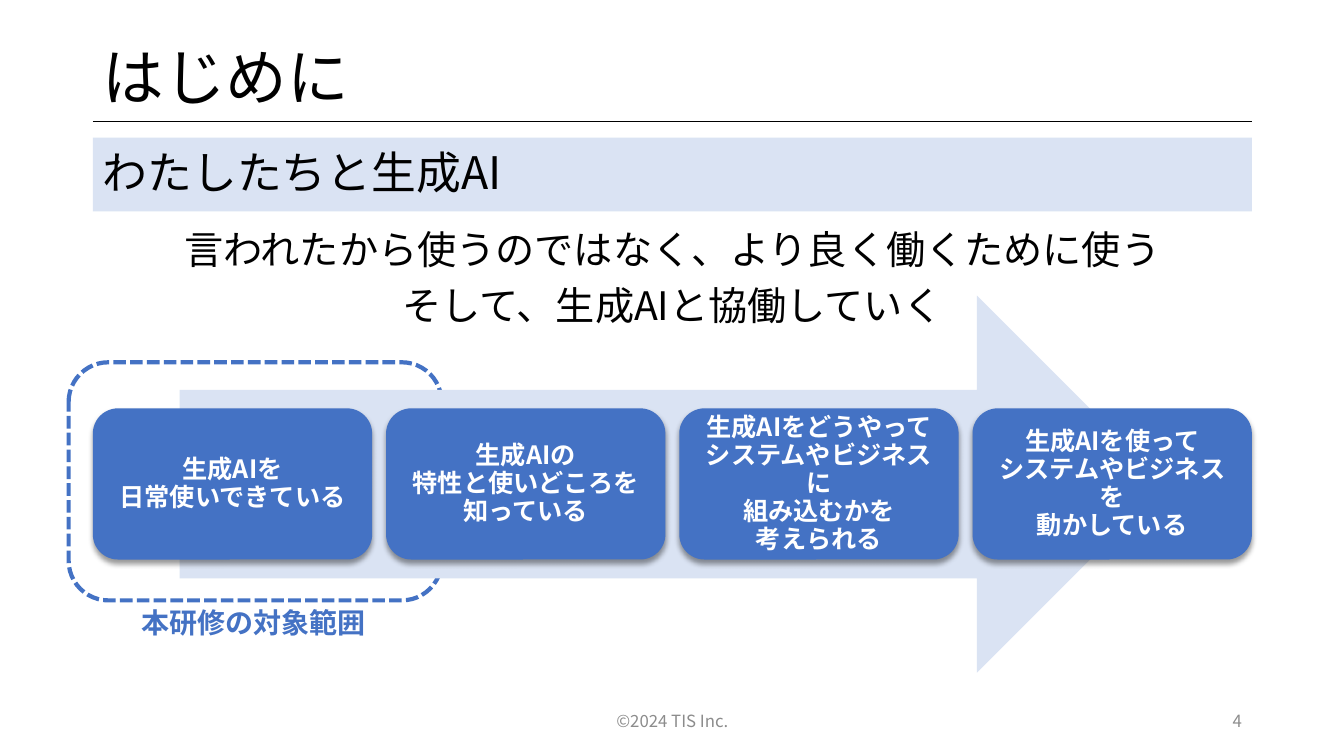
import pptx
import pptx.dml.color
import pptx.enum.dml
import pptx.enum.lang
import pptx.enum.shapes
import pptx.enum.text
import pptx.oxml
import pptx.oxml.ns
import pptx.util
from lxml import etree

Cm = pptx.util.Cm
Pt = pptx.util.Pt
RGBColor = pptx.dml.color.RGBColor
Shape = pptx.enum.shapes.MSO_SHAPE
Align = pptx.enum.text.PP_ALIGN
Anchor = pptx.enum.text.MSO_ANCHOR
qn = pptx.oxml.ns.qn

BLACK = RGBColor(0x00, 0x00, 0x00)
WHITE = RGBColor(0xFF, 0xFF, 0xFF)
BLUE = RGBColor(0x44, 0x72, 0xC4)
PALE_BLUE = RGBColor(0xDA, 0xE3, 0xF3)
GREY = RGBColor(0x8C, 0x8C, 0x8C)

LEFT = 2.34
CONTENT_WIDTH = 29.21
CARD_WIDTH = 7.04
CARD_TEXTS = [
    "生成AIを\n日常使いできている",
    "生成AIの\n特性と使いどころを知っている",
    "生成AIをどうやって\vシステムやビジネスに\v組み込むかを\v考えられる",
    "生成AIを使って\nシステムやビジネスを\n動かしている",
]
CARD_PITCH = (CONTENT_WIDTH - CARD_WIDTH) / (len(CARD_TEXTS) - 1)
SHADOW = (
    f'<a:effectLst {pptx.oxml.ns.nsdecls("a")}>'
    '<a:outerShdw blurRad="50800" dist="38100" dir="5400000" rotWithShape="0">'
    '<a:srgbClr val="000000"><a:alpha val="40000"/></a:srgbClr>'
    '</a:outerShdw></a:effectLst>'
)


class SlideBuilder:
    font_name = "Noto Sans CJK JP"

    def __init__(self, slide):
        self.slide = slide

    def set_text(self, shape, text, size, color, bold=False, align=Align.LEFT,
                 anchor=Anchor.MIDDLE, line_spacing=None, space_before=0):
        frame = shape.text_frame
        frame.word_wrap = True
        frame.vertical_anchor = anchor
        frame.text = text
        for index, paragraph in enumerate(frame.paragraphs):
            paragraph.alignment = align
            paragraph.line_spacing = line_spacing
            paragraph.space_before = Pt(space_before if index else 0)
            for run in paragraph.runs:
                font = run.font
                font.name = self.font_name
                font.size = Pt(size)
                font.bold = bold
                font.color.rgb = color
                font.language_id = pptx.enum.lang.MSO_LANGUAGE_ID.JAPANESE
                east_asian = etree.SubElement(run._r.get_or_add_rPr(), qn("a:ea"))
                east_asian.set("typeface", self.font_name)

    def text(self, left, top, width, height, text, size, color, **style):
        box = self.slide.shapes.add_textbox(Cm(left), Cm(top), Cm(width), Cm(height))
        self.set_text(box, text, size, color, **style)

    def shape(self, kind, left, top, width, height, fill=None):
        shape = self.slide.shapes.add_shape(kind, Cm(left), Cm(top), Cm(width), Cm(height))
        shape.shadow.inherit = False
        if fill is None:
            shape.fill.background()
        else:
            shape.fill.solid()
            shape.fill.fore_color.rgb = fill
        shape.line.fill.background()
        return shape

    def dashed_frame(self, left, top, width, height):
        frame = self.shape(Shape.ROUNDED_RECTANGLE, left, top, width, height)
        frame.line.color.rgb = BLUE
        frame.line.width = Pt(3)
        frame.line.dash_style = pptx.enum.dml.MSO_LINE.SQUARE_DOT

    def card(self, left, top, width, height, text):
        card = self.shape(Shape.ROUNDED_RECTANGLE, left, top, width, height, BLUE)
        properties = card._element.spPr
        properties.replace(properties.find(qn("a:effectLst")), pptx.oxml.parse_xml(SHADOW))
        frame = card.text_frame
        frame.margin_left = frame.margin_right = Cm(0.19)
        frame.margin_top = frame.margin_bottom = Cm(0.19)
        self.set_text(card, text, 18, WHITE, bold=True, align=Align.CENTER,
                      line_spacing=Pt(20))

    def rule(self, left, top, width):
        line = self.slide.shapes.add_connector(
            pptx.enum.shapes.MSO_CONNECTOR.STRAIGHT,
            Cm(left), Cm(top), Cm(left + width), Cm(top))
        line.line.color.rgb = BLACK
        line.line.width = Pt(0.5)
        etree.SubElement(line._element.spPr, qn("a:effectLst"))


def main():
    presentation = pptx.Presentation()
    presentation.slide_width = Cm(33.87)
    presentation.slide_height = Cm(19.05)
    builder = SlideBuilder(presentation.slides.add_slide(presentation.slide_layouts[6]))

    builder.rule(LEFT, 3.06, CONTENT_WIDTH)
    builder.shape(Shape.RECTANGLE, LEFT, 3.47, CONTENT_WIDTH, 1.86, PALE_BLUE)
    builder.dashed_frame(1.73, 9.13, 9.4, 6)
    builder.text(LEFT, 1.01, CONTENT_WIDTH, 2.03, "はじめに", 44, BLACK, line_spacing=0.9)

    builder.shape(Shape.RIGHT_ARROW, 4.53, 7.45, 24.84, 9.5, PALE_BLUE)
    for index, text in enumerate(CARD_TEXTS):
        builder.card(LEFT + index * CARD_PITCH, 10.29, CARD_WIDTH, 3.81, text)

    builder.text(LEFT, 3.48, CONTENT_WIDTH, 1.85, "わたしたちと生成AI", 32, BLACK,
                 line_spacing=0.9)
    builder.text(LEFT, 5.69, CONTENT_WIDTH, 11.46,
                 "言われたから使うのではなく、より良く働くために使う\nそして、生成AIと協働していく",
                 28, BLACK, align=Align.CENTER, anchor=Anchor.TOP,
                 line_spacing=0.9, space_before=10)
    builder.text(3.12, 15.11, 6.55, 1.12, "本研修の対象範囲", 20, BLUE,
                 bold=True, align=Align.CENTER)
    builder.text(11.23, 17.65, 11.43, 1.02, "©2024 TIS Inc.", 12, GREY, align=Align.CENTER)
    builder.text(23.93, 17.65, 7.62, 1.02, "4", 12, GREY, align=Align.RIGHT)

    presentation.save("out.pptx")


if __name__ == "__main__":
    main()
